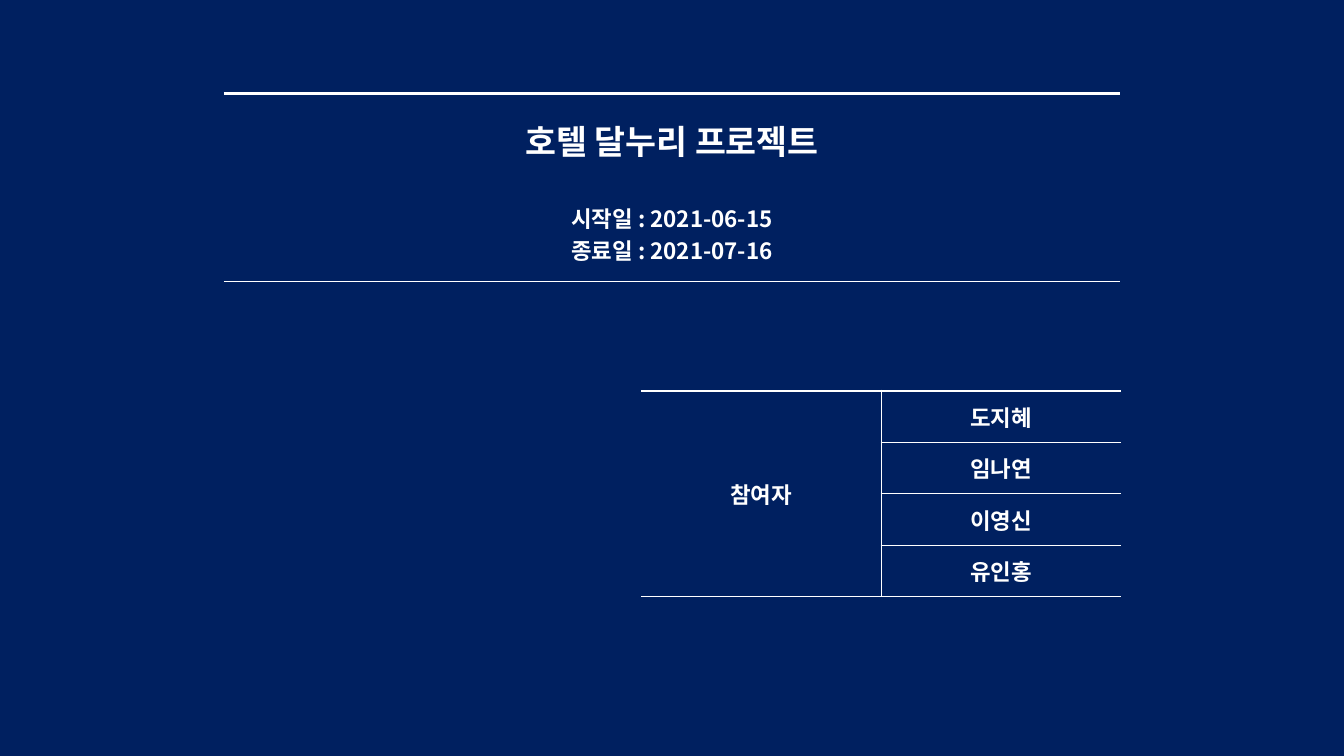
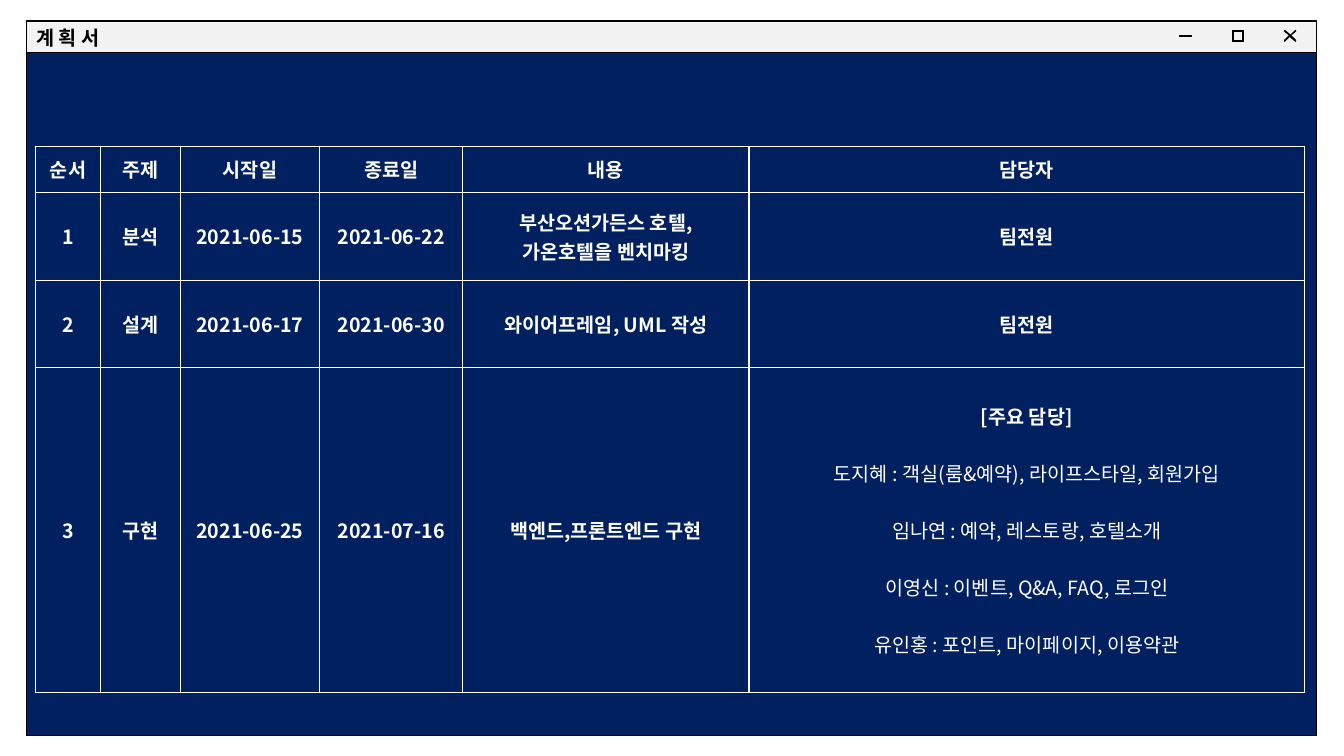
from dataclasses import dataclass

from lxml import etree
from pptx import Presentation
from pptx.dml.color import RGBColor
from pptx.enum import shapes, text
from pptx.oxml import ns
from pptx.util import Inches, Pt


@dataclass(frozen=True)
class Theme:
    """Colours, font and type sizes shared by the slides."""
    navy: str = "002060"
    white: str = "FFFFFF"
    black: str = "000000"
    bar: str = "F2F2F2"
    font: str = "Noto Sans CJK KR"
    heading: float = 24
    body: float = 16
    small: float = 14
    person_gap: float = 20.4
    thick: float = 2.25
    thin: float = 1


THEME = Theme()

PROJECT = "호텔 달누리 프로젝트"
DATES = ["시작일 : 2021-06-15", "종료일 : 2021-07-16"]
MEMBERS_LABEL = "참여자"
MEMBERS = ["도지혜", "임나연", "이영신", "유인홍"]

PLAN_TITLE = "계 획 서"
DUTIES_HEADING = "[주요 담당]"
DUTIES = [
    "도지혜 : 객실(룸&예약), 라이프스타일, 회원가입",
    "임나연 : 예약, 레스토랑, 호텔소개",
    "이영신 : 이벤트, Q&A, FAQ, 로그인",
    "유인홍 : 포인트, 마이페이지, 이용약관",
]
PLAN = [
    ["순서", "주제", "시작일", "종료일", "내용", "담당자"],
    ["1", "분석", "2021-06-15", "2021-06-22", ["부산오션가든스 호텔,", "가온호텔을 벤치마킹"], "팀전원"],
    ["2", "설계", "2021-06-17", "2021-06-30", "와이어프레임, UML 작성", "팀전원"],
    ["3", "구현", "2021-06-25", "2021-07-16", "백엔드,프론트엔드 구현", [DUTIES_HEADING] + DUTIES],
]
PLAN_COLUMNS = [0.65, 0.79, 1.38, 1.42, 2.84, 5.51]
PLAN_ROWS = [0.46, 0.87, 0.87, 3.22]

WINDOW_LEFT, WINDOW_TOP, WINDOW_WIDTH, WINDOW_HEIGHT = 0.26, 0.21, 12.8, 7.09
BAR_HEIGHT = 0.31
ICON_LEFT, ICON_STEP, ICON_SIZE, ICON_TOP = 11.7, 0.52, 0.11, 0.3
CROSS = [(0, 0), (0, 0.01), (0.05, 0.05), (0, 0.1), (0, 0.11), (0.05, 0.06),
         (0.11, 0.11), (0.11, 0.1), (0.06, 0.05), (0.11, 0.01), (0.11, 0), (0.06, 0.05)]


def rgb(colour):
    """Turn a hex string into a colour."""
    return RGBColor.from_string(colour)


def style_paragraph(paragraph, size, colour=THEME.white, bold=True, align=text.PP_ALIGN.CENTER):
    """Set font and alignment, for Latin and Korean letters alike."""
    paragraph.alignment = align
    font = paragraph.font
    font.name, font.size, font.bold = THEME.font, Pt(size), bold
    font.color.rgb = rgb(colour)
    properties = paragraph._p.pPr.find(ns.qn("a:defRPr"))
    etree.SubElement(properties, ns.qn("a:ea"), typeface=THEME.font)


def set_borders(cell, **widths):
    """Draw white borders on the named sides (L, R, T, B) and none elsewhere."""
    properties = cell._tc.get_or_add_tcPr()
    for side in "LRTB":
        width = widths.get(side, 0)
        line = etree.SubElement(properties, ns.qn(f"a:ln{side}"), w=str(Pt(width)))
        if width:
            fill = etree.SubElement(line, ns.qn("a:solidFill"))
            etree.SubElement(fill, ns.qn("a:srgbClr"), val=THEME.white)
        else:
            etree.SubElement(line, ns.qn("a:noFill"))


def fill_cell(cell, content, size, fill=None, **borders):
    """Write one line or a list of lines into a cell and dress it."""
    lines = [content] if isinstance(content, str) else content
    cell.vertical_anchor = text.MSO_ANCHOR.MIDDLE
    cell.text = "\n".join(lines)
    for paragraph, line in zip(cell.text_frame.paragraphs, lines):
        style_paragraph(paragraph, size, bold=line not in DUTIES)
        if line in DUTIES:
            paragraph.space_before = Pt(THEME.person_gap)
    set_borders(cell, **borders)
    if fill:
        cell.fill.solid()
        cell.fill.fore_color.rgb = rgb(fill)
    else:
        cell.fill.background()


def add_grid(slide, left, top, columns, rows):
    """Add a table without banding, sized by its columns and rows."""
    frame = slide.shapes.add_table(len(rows), len(columns), Inches(left), Inches(top),
                                   Inches(sum(columns)), Inches(sum(rows)))
    table = frame.table
    table.first_row = table.horz_banding = False
    for column, width in zip(table.columns, columns):
        column.width = Inches(width)
    for row, height in zip(table.rows, rows):
        row.height = Inches(height)
    return table


def paint(shape, fill, line_width):
    """Give a shape a solid fill and a black outline."""
    shape.shadow.inherit = False
    shape.fill.solid()
    shape.fill.fore_color.rgb = rgb(fill)
    shape.line.color.rgb = rgb(THEME.black)
    shape.line.width = Pt(line_width)


def add_block(slide, preset, left, top, width, height, line_width):
    """Add a navy preset shape."""
    shape = slide.shapes.add_shape(preset, Inches(left), Inches(top), Inches(width), Inches(height))
    paint(shape, THEME.navy, line_width)
    return shape


def add_window(slide, title):
    """Draw the window: body, title bar and three buttons."""
    kinds = shapes.MSO_SHAPE
    add_block(slide, kinds.RECTANGLE, WINDOW_LEFT, WINDOW_TOP, WINDOW_WIDTH, WINDOW_HEIGHT, 0.5)

    bar = slide.shapes.title
    slide.shapes._spTree.append(bar._element)
    bar.left, bar.top = Inches(WINDOW_LEFT), Inches(WINDOW_TOP)
    bar.width, bar.height = Inches(WINDOW_WIDTH), Inches(BAR_HEIGHT)
    bar.fill.solid()
    bar.fill.fore_color.rgb = rgb(THEME.bar)
    bar.line.color.rgb = rgb(THEME.black)
    bar.line.width = Pt(THEME.thin)
    frame = bar.text_frame
    frame.text = title
    frame.auto_size = text.MSO_AUTO_SIZE.NONE
    frame.vertical_anchor = text.MSO_ANCHOR.MIDDLE
    frame.margin_left = frame.margin_right = Inches(0.1)
    frame.margin_top, frame.margin_bottom = Inches(0.06), Inches(0.05)
    style_paragraph(frame.paragraphs[0], THEME.small, THEME.black, align=text.PP_ALIGN.LEFT)

    minimize, maximize, close = (ICON_LEFT + ICON_STEP * index for index in range(3))
    add_block(slide, kinds.RECTANGLE, minimize, ICON_TOP + 0.05, 0.12, 0.01, 0)
    square = add_block(slide, kinds.FRAME, maximize, ICON_TOP, ICON_SIZE, ICON_SIZE, 0)
    square.adjustments[0] = 0.1
    points = [(Inches(close + x), Inches(ICON_TOP + y)) for x, y in CROSS]
    outline = slide.shapes.build_freeform(*points[0])
    outline.add_line_segments(points[1:], close=True)
    paint(outline.convert_to_shape(), THEME.navy, 0.75)


def build_cover(presentation):
    """Build the cover with project, dates and members."""
    slide = presentation.slides.add_slide(presentation.slide_layouts[6])
    slide.background.fill.solid()
    slide.background.fill.fore_color.rgb = rgb(THEME.navy)

    project = add_grid(slide, 2.22, 0.93, [8.89], [0.92, 0.94])
    fill_cell(project.cell(0, 0), PROJECT, THEME.heading, T=THEME.thick)
    fill_cell(project.cell(1, 0), DATES, THEME.body, B=THEME.thin)

    members = add_grid(slide, 6.36, 3.88, [2.38] * 2, [0.51] * len(MEMBERS))
    last = len(MEMBERS) - 1
    for index, name in enumerate(MEMBERS):
        top = THEME.thin if index else THEME.thick
        label = "" if index else MEMBERS_LABEL
        fill_cell(members.cell(index, 0), label, THEME.body, R=THEME.thin,
                  T=0 if index else top, B=THEME.thin if index in (0, last) else 0)
        fill_cell(members.cell(index, 1), name, THEME.body, L=THEME.thin, T=top, B=THEME.thin)
    members.cell(0, 0).merge(members.cell(last, 0))


def build_plan(presentation):
    """Build the plan: a window holding the schedule table."""
    slide = presentation.slides.add_slide(presentation.slide_layouts[5])
    add_window(slide, PLAN_TITLE)
    schedule = add_grid(slide, 0.35, 1.45, PLAN_COLUMNS, PLAN_ROWS)
    borders = dict.fromkeys("LRTB", THEME.thin)
    for row, contents in enumerate(PLAN):
        for column, content in enumerate(contents):
            fill_cell(schedule.cell(row, column), content, THEME.small, THEME.navy, **borders)


def main():
    """Build and save the presentation."""
    presentation = Presentation()
    presentation.slide_width, presentation.slide_height = Inches(13.33), Inches(7.5)
    build_cover(presentation)
    build_plan(presentation)
    presentation.save("out.pptx")


if __name__ == "__main__":
    main()
